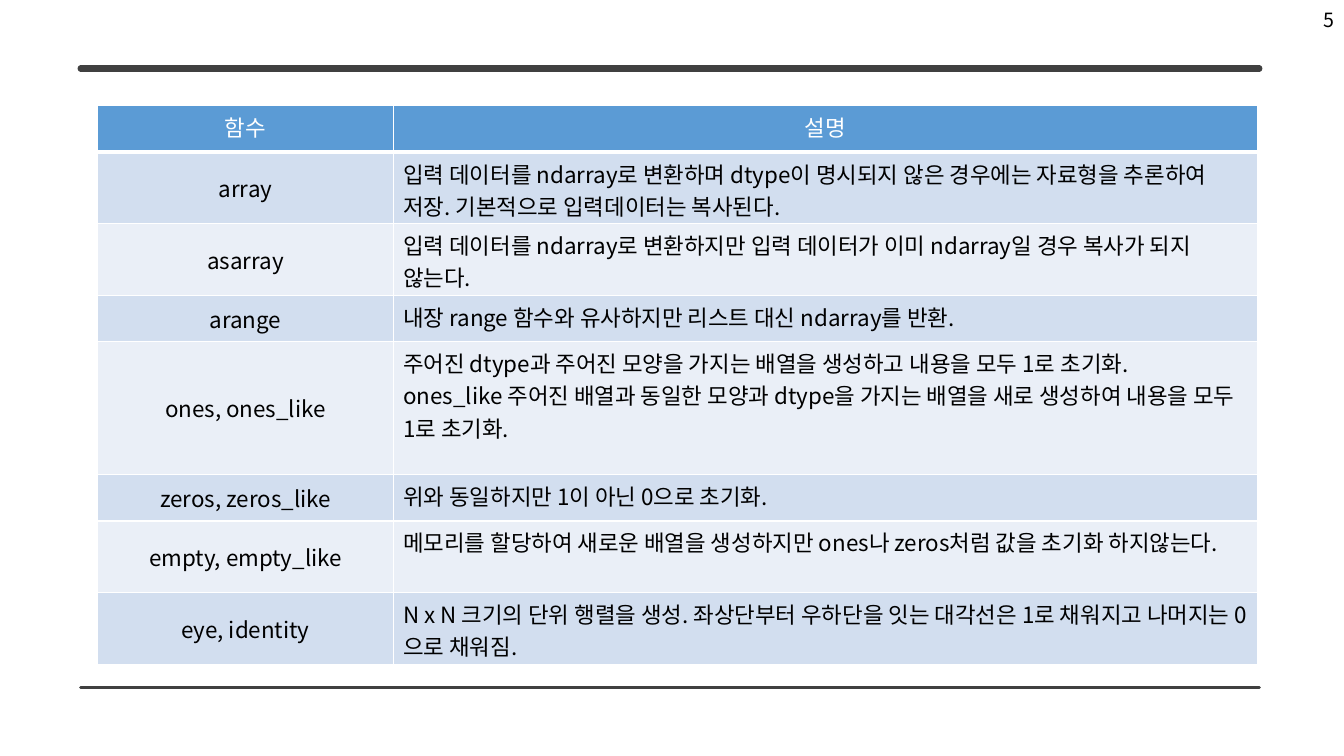
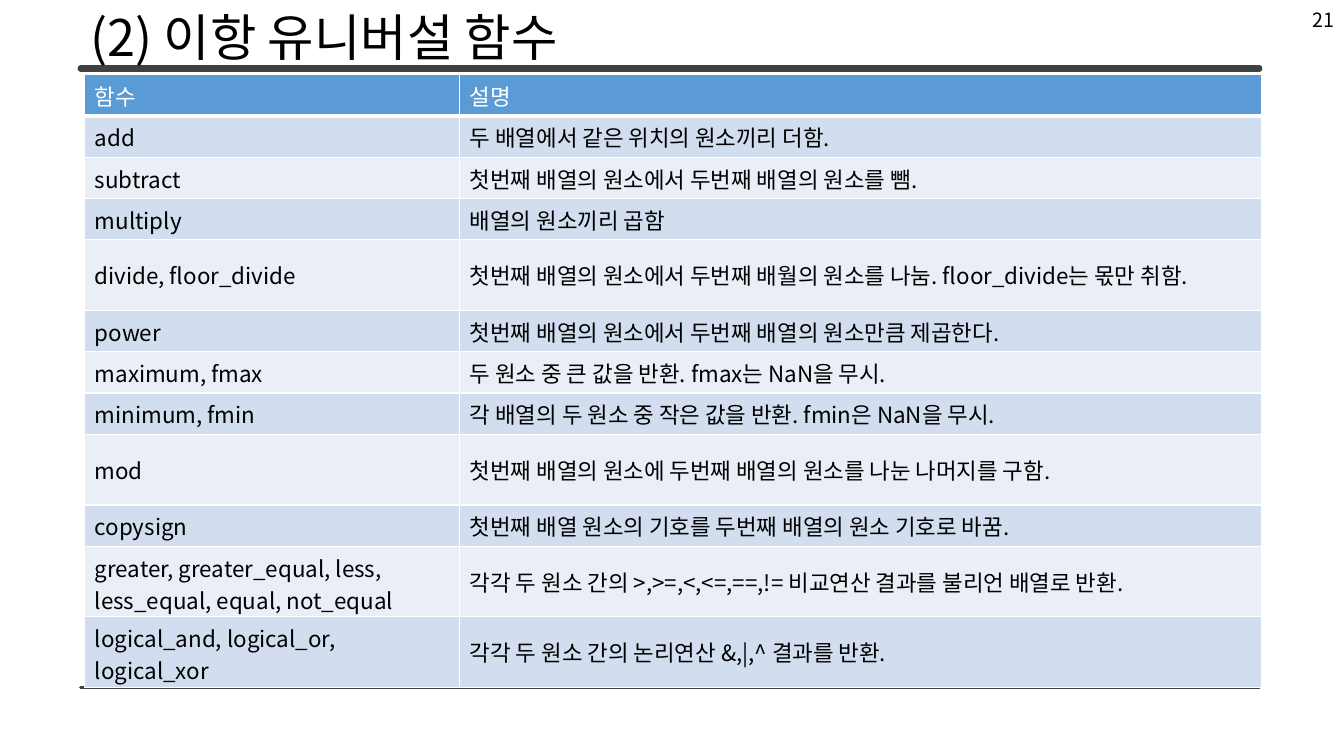
import pptx
import pptx.dml.color
import pptx.enum.shapes
import pptx.enum.text
import pptx.oxml
import pptx.oxml.ns
import pptx.util
from lxml import etree

Inches = pptx.util.Inches
Pt = pptx.util.Pt
RGBColor = pptx.dml.color.RGBColor
ALIGN = pptx.enum.text.PP_ALIGN
ANCHOR = pptx.enum.text.MSO_ANCHOR
qn = pptx.oxml.ns.qn

FONT = "Noto Sans CJK KR"
BLACK = RGBColor(0x00, 0x00, 0x00)
WHITE = RGBColor(0xFF, 0xFF, 0xFF)
GRAY = RGBColor(0x40, 0x40, 0x40)
BLUE = RGBColor(0x5B, 0x9B, 0xD5)
BANDS = [RGBColor(0xEA, 0xEF, 0xF7), RGBColor(0xD2, 0xDE, 0xEF)]

# Top and bottom rule: height on the slide, line width
RULES = [(6.82, 2.25), (0.68, 4.5)]

HEAD = ("함수", "설명")
MAKERS = [
    (0.46, *HEAD),
    (0.71, "array", "입력 데이터를 ndarray로 변환하며 dtype이 명시되지 않은 경우에는 "
     "자료형을 추론하여 저장. 기본적으로 입력데이터는 복사된다."),
    (0.71, "asarray", "입력 데이터를 ndarray로 변환하지만 입력 데이터가 이미 "
     "ndarray일 경우 복사가 되지 않는다."),
    (0.46, "arange", "내장 range 함수와 유사하지만 리스트 대신 ndarray를 반환."),
    (1.32, "ones, ones_like",
     "주어진 dtype과 주어진 모양을 가지는 배열을 생성하고 내용을 모두 1로 초기화.\n"
     "ones_like 주어진 배열과 동일한 모양과 dtype을 가지는 배열을 새로 생성하여 "
     "내용을 모두 1로 초기화."),
    (0.46, "zeros, zeros_like", "위와 동일하지만 1이 아닌 0으로 초기화."),
    (0.71, "empty, empty_like", "메모리를 할당하여 새로운 배열을 생성하지만 "
     "ones나 zeros처럼 값을 초기화 하지않는다."),
    (0.71, "eye, identity", "N x N 크기의 단위 행렬을 생성. 좌상단부터 우하단을 잇는 "
     "대각선은 1로 채워지고 나머지는 0으로 채워짐."),
]
BINARY = [
    (0.41, *HEAD),
    (0.41, "add", "두 배열에서 같은 위치의 원소끼리 더함."),
    (0.41, "subtract", "첫번째 배열의 원소에서 두번째 배열의 원소를 뺌."),
    (0.41, "multiply", "배열의 원소끼리 곱함"),
    (0.7, "divide, floor_divide",
     "첫번째 배열의 원소에서 두번째 배월의 원소를 나눔. floor_divide는 몫만 취함."),
    (0.41, "power", "첫번째 배열의 원소에서 두번째 배열의 원소만큼 제곱한다."),
    (0.41, "maximum, fmax", "두 원소 중 큰 값을 반환. fmax는 NaN을 무시."),
    (0.41, "minimum, fmin", "각 배열의 두 원소 중 작은 값을 반환. fmin은 NaN을 무시."),
    (0.7, "mod", "첫번째 배열의 원소에 두번째 배열의 원소를 나눈 나머지를 구함."),
    (0.41, "copysign", "첫번째 배열 원소의 기호를 두번째 배열의 원소 기호로 바꿈."),
    (0.7, "greater, greater_equal, less, less_equal, equal, not_equal",
     "각각 두 원소 간의 >,>=,<,<=,==,!= 비교연산 결과를 불리언 배열로 반환."),
    (0.7, "logical_and, logical_or, logical_xor",
     "각각 두 원소 간의 논리연산 &,|,^ 결과를 반환."),
]

# Page number, title, table left and top, column widths, rows, centred names
PAGES = [
    ("5", None, (0.97, 1.05), (2.93, 8.57), MAKERS, True),
    ("21", "(2) 이항 유니버설 함수", (0.84, 0.74), (3.72, 7.95), BINARY, False),
]


def write(frame, text, size, color, align=ALIGN.LEFT):
    """Fill the frame and format every run, Latin and Korean alike."""
    frame.text = text
    frame.word_wrap = True
    for par in frame.paragraphs:
        par.alignment = align
        for run in par.runs:
            font = run.font
            font.name, font.size, font.bold = FONT, Pt(size), False
            font.color.rgb = color
            east = etree.SubElement(run._r.get_or_add_rPr(), qn("a:ea"))
            east.set("typeface", FONT)


def edge(cell, row):
    """Draw white cell borders, with a thick one below the header row."""
    props = cell._tc.get_or_add_tcPr()
    thick = {0: "lnB", 1: "lnT"}.get(row)
    for side in ("lnL", "lnR", "lnT", "lnB"):
        line = etree.SubElement(props, qn("a:" + side))
        line.set("w", str(Pt(3 if side == thick else 1)))
        fill = etree.SubElement(line, qn("a:solidFill"))
        etree.SubElement(fill, qn("a:srgbClr")).set("val", str(WHITE))


deck = pptx.Presentation()
deck.slide_width = Inches(13.33)
deck.slide_height = Inches(7.5)

for number, title, (left, top), widths, rows, centred in PAGES:
    slide = deck.slides.add_slide(deck.slide_layouts[6])
    shapes = slide.shapes

    for y, weight in RULES:
        rule = shapes.add_connector(
            pptx.enum.shapes.MSO_CONNECTOR.STRAIGHT,
            Inches(0.8), Inches(y), Inches(12.49), Inches(y))
        rule.line.color.rgb = GRAY
        rule.line.width = Pt(weight)
        props = rule._element.spPr
        props.find(qn("a:ln")).set("cap", "rnd")
        etree.SubElement(props, qn("a:effectLst"))

    if title:
        box = shapes.add_textbox(
            Inches(0.8), Inches(0.12), Inches(11.5), Inches(0.56))
        write(box.text_frame, title, 36, BLACK)
        box.text_frame.vertical_anchor = ANCHOR.MIDDLE
        box.text_frame.paragraphs[0].line_spacing = 0.9

    box = shapes.add_textbox(Inches(10.33), 0, Inches(3), Inches(0.4))
    write(box.text_frame, number, 14, BLACK, ALIGN.RIGHT)
    box.text_frame.vertical_anchor = ANCHOR.MIDDLE

    table = shapes.add_table(
        len(rows), len(widths), Inches(left), Inches(top),
        Inches(sum(widths)), Inches(sum(row[0] for row in rows))).table
    for col, width in enumerate(widths):
        table.columns[col].width = Inches(width)

    for r, (height, *texts) in enumerate(rows):
        table.rows[r].height = Inches(height)
        for c, text in enumerate(texts):
            cell = table.cell(r, c)
            head = r == 0
            name = c == 0 and not head
            middle = centred and (head or name)
            write(cell.text_frame, text, 16, WHITE if head else BLACK,
                  ALIGN.CENTER if middle else ALIGN.LEFT)
            cell.vertical_anchor = (
                ANCHOR.MIDDLE if name or not centred else ANCHOR.TOP)
            edge(cell, r)
            cell.fill.solid()
            cell.fill.fore_color.rgb = BLUE if head else BANDS[r % 2]

deck.save("out.pptx")
